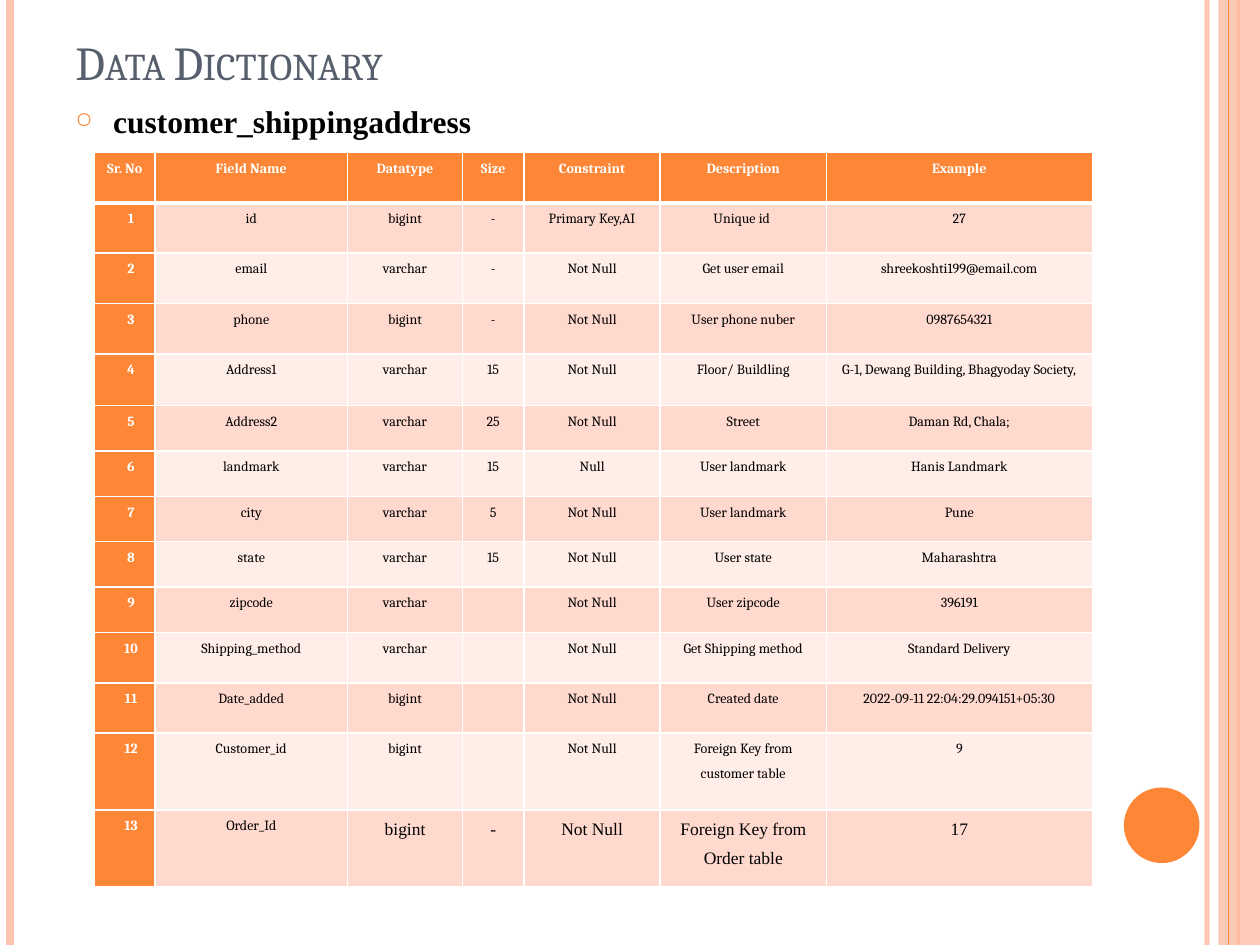
"""Build the data dictionary slide for the shipping address table."""
import pptx
import pptx.dml.color
import pptx.enum.shapes
import pptx.enum.text
import pptx.oxml.ns
import pptx.util
from lxml import etree
from pptx.util import Inches

HUES = {
    "main": "FE8637",
    "pale": "FEC3AE",
    "slate": "575F6D",
    "black": "000000",
    "white": "FFFFFF",
    "odd": "FFD9CE",
    "even": "FFEDE8",
}
WIDTHS = [0.48, 1.53, 0.91, 0.49, 1.08, 1.32, 2.11]
HEIGHTS = [0.4] * 4 + [0.41] + [0.36] * 5 + [0.4] * 2 + [0.61] * 2
HEADS = ["Sr. No", "Field Name", "Datatype", "Size", "Constraint", "Description", "Example"]
FIELDS = [
    ["id", "bigint", "-", "Primary Key,AI", "Unique id ", "27"],
    ["email", "varchar", "-", "Not Null", "Get user email", "shreekoshti199@email.com"],
    ["phone", "bigint", "-", "Not Null", "User phone nuber", "0987654321"],
    ["Address1", "varchar", "15", "Not Null", "Floor/ Buildling",
     "G-1, Dewang Building, Bhagyoday Society,"],
    ["Address2", "varchar", "25", "Not Null", "Street", "Daman Rd, Chala;"],
    ["landmark", "varchar", "15", "Null", "User landmark", "Hanis Landmark"],
    ["city", "varchar", "5", "Not Null", "User landmark", "Pune"],
    ["state", "varchar", "15", "Not Null", "User state", "Maharashtra"],
    ["zipcode", "varchar", "", "Not Null", "User zipcode", "396191"],
    ["Shipping_method", "varchar", "", "Not Null", "Get Shipping method", "Standard Delivery"],
    ["Date_added", "bigint", "", "Not Null", "Created date", "2022-09-11 22:04:29.094151+05:30"],
    ["Customer_id", "bigint", "", "Not Null", "Foreign Key from customer table", "9"],
    ["Order_Id", "bigint", "-", "Not Null", "Foreign Key from Order table", "17"],
]


def tint(name):
    """Return the named colour."""
    return pptx.dml.color.RGBColor.from_string(HUES[name])


def child(node, tag, **attrs):
    """Add a child element to an XML node."""
    return etree.SubElement(node, pptx.oxml.ns.qn(tag), **attrs)


def fade(node, share):
    """Set how opaque the colour in a node is, in percent."""
    for hue in node.iter(pptx.oxml.ns.qn("a:srgbClr")):
        child(hue, "a:alpha", val=str(share * 1000))


def write(par, text, size=8, face="Cambria", hue="black", bold=False, caps=False):
    """Add a formatted run to a paragraph."""
    run = par.add_run()
    run.text = text
    font = run.font
    font.size, font.name, font.bold = pptx.util.Pt(size), face, bold
    font.color.rgb = tint(hue)
    if caps:
        font._element.set("cap", "small")


class Deck:
    """Hold the style and the current slide."""

    def __init__(self):
        """Start a deck with one blank slide."""
        self.show = pptx.Presentation()
        self.show.slide_width, self.show.slide_height = Inches(10), Inches(7.5)
        self.slide = self.show.slides.add_slide(self.show.slide_layouts[6])
        self.shapes = self.slide.shapes

    def rule(self, x, width, hue, share=100):
        """Draw a line down the full slide."""
        kind = pptx.enum.shapes.MSO_CONNECTOR.STRAIGHT
        line = self.shapes.add_connector(kind, Inches(x), 0, Inches(x), Inches(7.5))
        line.line.width = pptx.util.Pt(width)
        line.line.color.rgb = tint(hue)
        props = line._element.spPr
        child(props, "a:effectLst")
        if share < 100:
            fade(props, share)

    def block(self, kind, box, hue, share=100):
        """Draw a filled shape with no outline."""
        shape = self.shapes.add_shape(kind, *map(Inches, box))
        shape.shadow.inherit = False
        shape.fill.solid()
        shape.fill.fore_color.rgb = tint(hue)
        shape.line.fill.background()
        if share < 100:
            fade(shape._element.spPr, share)

    def text(self, box, words, low=False, mark=None, **style):
        """Add a text box, with a bullet if a mark is given."""
        frame = self.shapes.add_textbox(*map(Inches, box)).text_frame
        frame.word_wrap = True
        anchor = pptx.enum.text.MSO_ANCHOR
        frame.vertical_anchor = anchor.BOTTOM if low else anchor.TOP
        par = frame.paragraphs[0]
        if mark:
            props = par._p.get_or_add_pPr()
            props.set("marL", str(Inches(0.3)))
            props.set("indent", str(Inches(-0.3)))
            child(child(props, "a:buClr"), "a:srgbClr", val=HUES["main"])
            child(props, "a:buSzPct", val="70000")
            child(props, "a:buChar", char=mark)
        write(par, words, **style)

    def cell(self, cell, words, fill, edges, pad=0.06, indent=0, **style):
        """Fill one table cell."""
        props = cell._tc.get_or_add_tcPr()
        for side, width in zip("LRTB", edges):
            line = child(props, f"a:ln{side}", w=str(pptx.util.Pt(width)))
            child(child(line, "a:solidFill"), "a:srgbClr", val=HUES["white"])
        cell.fill.solid()
        cell.fill.fore_color.rgb = tint(fill)
        cell.margin_left = cell.margin_right = Inches(pad)
        cell.margin_top = cell.margin_bottom = 0
        if not words:
            return
        par = cell.text_frame.paragraphs[0]
        par.alignment = pptx.enum.text.PP_ALIGN.CENTER
        par.line_spacing = 1.5
        par.space_after = pptx.util.Pt(10)
        if indent:
            par._p.get_or_add_pPr().set("marL", str(Inches(indent)))
        write(par, words, **style)

    def table(self, x, y, rows):
        """Add the table with its head row and number column."""
        box = map(Inches, (x, y, sum(WIDTHS), sum(HEIGHTS)))
        grid = self.shapes.add_table(len(rows), len(WIDTHS), *box).table
        grid.first_row = grid.horz_banding = False
        for col, width in zip(grid.columns, WIDTHS):
            col.width = Inches(width)
        for row, height in zip(grid.rows, HEIGHTS):
            row.height = Inches(height)
        for r, row in enumerate(rows):
            edges = (1, 1, 3 if r == 1 else 1, 3 if r == 0 else 1)
            for c, words in enumerate(row):
                fill, style = ("odd" if r % 2 else "even"), {}
                if r == 0 or c == 0:
                    fill, style = "main", {"hue": "white", "bold": True}
                    style["indent"] = 0.1 if r else 0
                elif r == len(rows) - 1 and c > 1:
                    style = {"size": 10, "face": "Times New Roman", "pad": 0.07}
                self.cell(grid.cell(r, c), words, fill, edges, **style)


def main():
    """Build and save the slide."""
    deck = Deck()
    kinds = pptx.enum.shapes.MSO_SHAPE
    deck.rule(9.58, 3, "pale", 93)
    deck.rule(0.08, 4.5, "pale")
    deck.rule(9.83, 1.5, "main")
    deck.block(kinds.RECTANGLE, (9.67, 0, 0.33, 7.5), "pale", 87)
    deck.rule(9.75, 0.75, "main")
    deck.block(kinds.OVAL, (8.92, 6.25, 0.6, 0.6), "main")
    deck.text((0.5, 0.3, 8.17, 0.46), "Data Dictionary", low=True,
              size=27, hue="slate", caps=True)
    deck.text((0.5, 0.76, 8.17, 6.32), "customer_shippingaddress", mark="○",
              size=18, face="Times New Roman", bold=True)
    rows = [[str(n), *field] for n, field in enumerate(FIELDS, 1)]
    deck.table(0.75, 1.21, [HEADS, *rows])
    deck.show.save("out.pptx")


if __name__ == "__main__":
    main()
